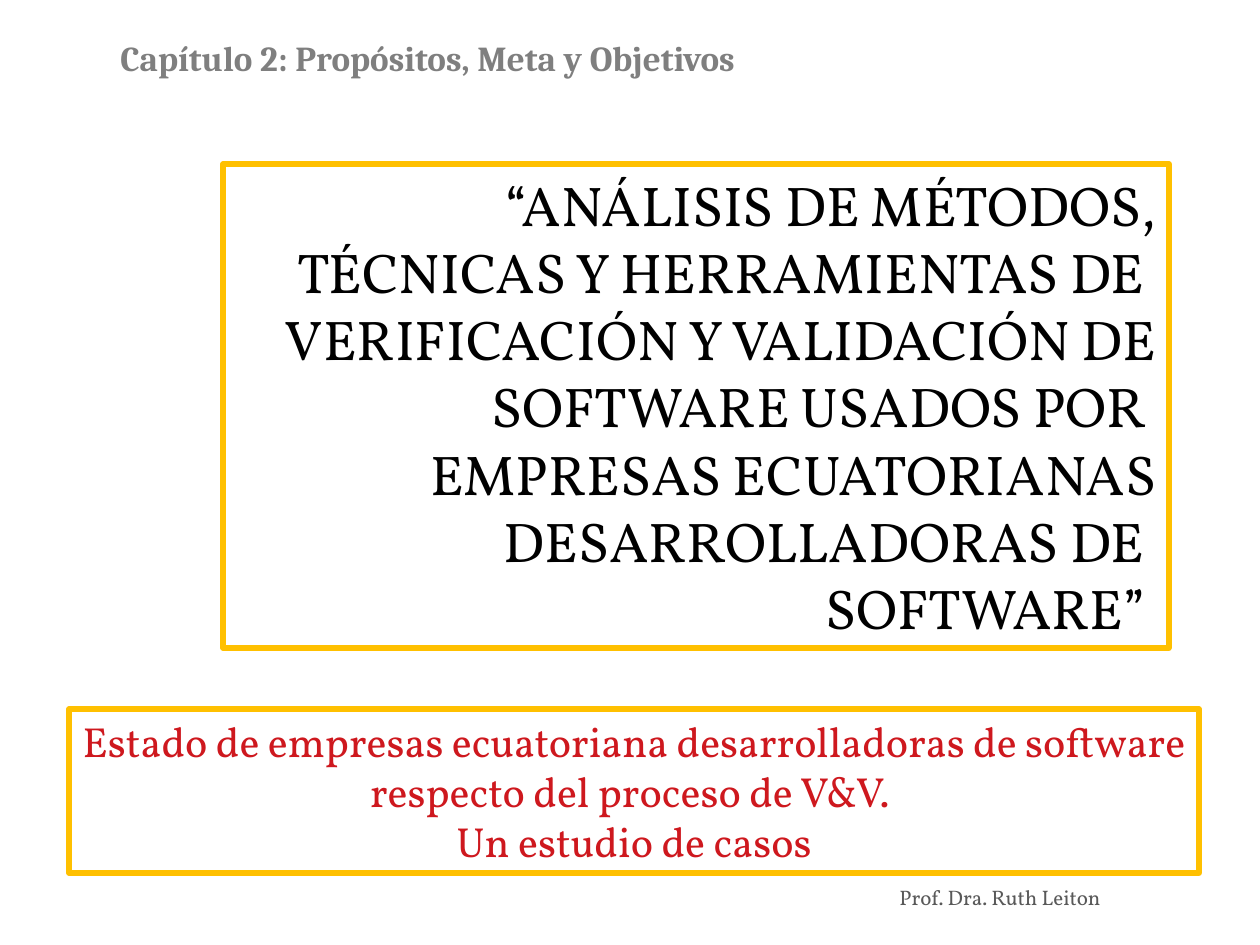
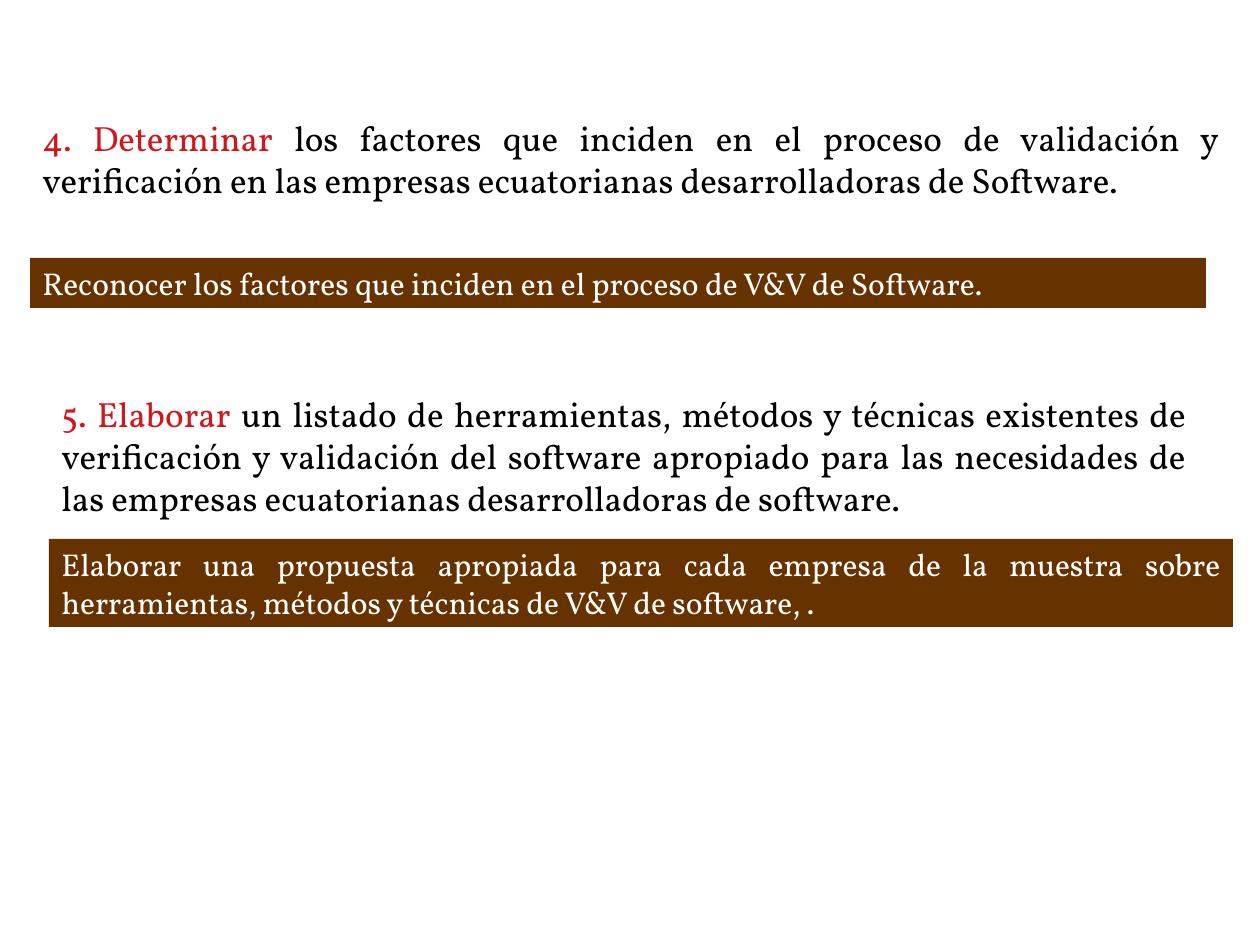
from pptx import Presentation
from pptx import util as u
from pptx.dml import color
from pptx.enum import shapes, text

EMU_PER_PX = 914400 / 126
COLORS = {
    "black": "000000", "white": "FFFFFF", "red": "CE181E", "gold": "FFC000",
    "brown": "663300", "gray": "7F7F7F", "footer": "595959",
}
BODY_FONT = "Vollkorn"
HEADING_FONT = "Cambria"
LEFT, RIGHT = text.PP_ALIGN.LEFT, text.PP_ALIGN.RIGHT
CENTER, JUSTIFY = text.PP_ALIGN.CENTER, text.PP_ALIGN.JUSTIFY


def rgb(name):
    return color.RGBColor.from_string(COLORS[name])


def add_box(page, area, paragraphs, size, align=LEFT, fill=None, line=None,
            font=BODY_FONT, bold=False, grow=True):
    """Place a box; each paragraph is a list of (words, colour) spans."""
    area = [u.Emu(round(px * EMU_PER_PX)) for px in area]
    if fill or line:
        box = page.shapes.add_shape(shapes.MSO_SHAPE.RECTANGLE, *area)
        box.shadow.inherit = False
    else:
        box = page.shapes.add_textbox(*area)
    if fill:
        box.fill.solid()
        box.fill.fore_color.rgb = rgb(fill)
    else:
        box.fill.background()
    if line:
        box.line.color.rgb = rgb(line)
        box.line.width = u.Pt(3)
    else:
        box.line.fill.background()

    frame = box.text_frame
    frame.word_wrap = True
    frame.vertical_anchor = text.MSO_ANCHOR.TOP
    frame.auto_size = (text.MSO_AUTO_SIZE.SHAPE_TO_FIT_TEXT if grow
                       else text.MSO_AUTO_SIZE.NONE)
    for index, spans in enumerate(paragraphs):
        para = frame.add_paragraph() if index else frame.paragraphs[0]
        para.alignment = align
        for words, tint in spans:
            span = para.add_run()
            span.text = words
            span.font.name = font
            span.font.size = u.Pt(size)
            span.font.bold = bold
            span.font.color.rgb = rgb(tint)


deck = Presentation()
deck.slide_width, deck.slide_height = u.Inches(10), u.Inches(7.5)
blank = deck.slide_layouts[6]

# Slide 1: thesis title and case study
page = deck.slides.add_slide(blank)
title_lines = [
    "“ANÁLISIS DE MÉTODOS, TÉCNICAS Y HERRAMIENTAS DE ",
    "VERIFICACIÓN Y VALIDACIÓN DE SOFTWARE USADOS POR ",
    "EMPRESAS ECUATORIANAS DESARROLLADORAS DE ",
    "SOFTWARE” ",
]
study_lines = [
    "Estado de empresas ecuatoriana desarrolladoras de software "
    "respecto del proceso de V&V. ",
    "Un estudio de casos",
]
add_box(page, (223, 164, 946, 484), [[(line, "black")] for line in title_lines],
        32, RIGHT, line="gold")
add_box(page, (887, 878, 301, 38), [[("Prof. Dra. Ruth Leiton", "footer")]], 12)
add_box(page, (108, 30, 863, 55),
        [[("Capítulo 2: Propósitos, Meta y Objetivos", "gray")]],
        20, font=HEADING_FONT, bold=True)
add_box(page, (69, 709, 1130, 164), [[(line, "red")] for line in study_lines],
        24, CENTER, line="gold")

# Slide 2: each objective with its purpose in a brown band
page = deck.slides.add_slide(blank)
objectives = [
    ((30, 110, 1201, 139), "4. Determinar",
     " los factores que inciden en el proceso de validación y verificación "
     "en las empresas ecuatorianas desarrolladoras de Software. ",
     (30, 258, 1176, 50),
     "Reconocer los factores que inciden en el proceso de V&V de Software. "),
    ((49, 386, 1150, 180), "5. Elaborar ",
     "un listado de herramientas, métodos y técnicas existentes de "
     "verificación y validación del software apropiado para las necesidades "
     "de las empresas ecuatorianas desarrolladoras de software. ",
     (49, 539, 1184, 88),
     "Elaborar una propuesta apropiada para cada empresa de la muestra sobre "
     "herramientas, métodos y técnicas de V&V de software, . "),
]
for goal_area, verb, goal, band_area, purpose in objectives:
    add_box(page, goal_area, [[(verb, "red"), (goal, "black")]],
            20, JUSTIFY, grow=False)
    add_box(page, band_area, [[(purpose, "white")]], 18, JUSTIFY, fill="brown")

deck.save("out.pptx")
